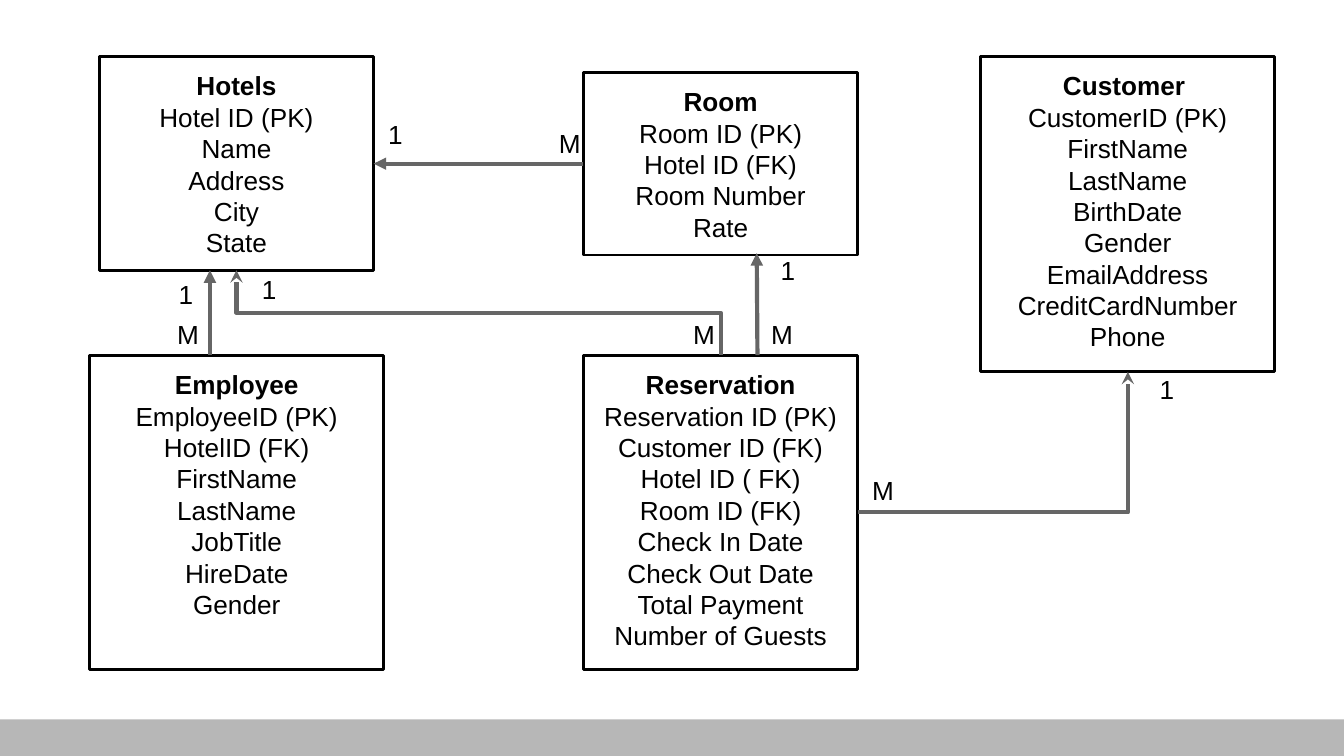
from lxml import etree
from pptx import Presentation
from pptx import util as u
from pptx.dml.color import RGBColor
from pptx.enum import shapes, text
from pptx.oxml import ns

COLORS = {"ink": "000000", "arrow": "666666", "bar": "B7B7B7"}
FONT = {"name": "Arial", "size": u.Pt(14)}
FRAME = {
    "word_wrap": True,
    "auto_size": text.MSO_AUTO_SIZE.NONE,
    "vertical_anchor": text.MSO_ANCHOR.TOP,
    "margin_left": u.Pt(7.2),
    "margin_right": u.Pt(7.2),
    "margin_top": u.Pt(7.2),
    "margin_bottom": u.Pt(7.2),
}


class Diagram:
    def __init__(self, slide):
        self.slide = slide

    @staticmethod
    def color(name):
        return RGBColor.from_string(COLORS[name])

    def fill_text(self, shape, lines, alignment, bold_first=False):
        frame = shape.text_frame
        for name, value in FRAME.items():
            setattr(frame, name, value)
        for index, line in enumerate(lines):
            paragraph = frame.paragraphs[0] if index == 0 else frame.add_paragraph()
            paragraph.alignment = alignment
            run = paragraph.add_run()
            run.text = line
            for name, value in FONT.items():
                setattr(run.font, name, value)
            run.font.bold = bold_first and index == 0
            run.font.color.rgb = self.color("ink")

    def rectangle(self, bounds):
        shape = self.slide.shapes.add_shape(
            shapes.MSO_SHAPE.RECTANGLE, *map(u.Pt, bounds))
        shape.shadow.inherit = False
        return shape

    def entity(self, bounds, lines):
        shape = self.rectangle(bounds)
        shape.fill.background()
        shape.line.color.rgb = self.color("ink")
        shape.line.width = u.Pt(1.5)
        self.fill_text(shape, lines, text.PP_ALIGN.CENTER, bold_first=True)

    def bar(self, bounds):
        shape = self.rectangle(bounds)
        shape.fill.solid()
        shape.fill.fore_color.rgb = self.color("bar")
        shape.line.fill.background()

    def label(self, left, top, caption):
        shape = self.slide.shapes.add_textbox(*map(u.Pt, (left, top, 24.5, 30)))
        self.fill_text(shape, [caption], text.PP_ALIGN.LEFT)

    def arrow(self, begin, end, kind=shapes.MSO_CONNECTOR.STRAIGHT, head="triangle"):
        connector = self.slide.shapes.add_connector(
            kind, *map(u.Pt, (*begin, *end)))
        connector.line.color.rgb = self.color("arrow")
        connector.line.width = u.Pt(2.25)
        properties = connector._element.spPr
        etree.SubElement(properties.find(ns.qn("a:ln")), ns.qn("a:tailEnd"), type=head)
        etree.SubElement(properties, ns.qn("a:effectLst"))
        return connector

    def elbow(self, begin, end, preset, turn):
        """Bent arrow, mirrored and then turned about its centre."""
        center_x, center_y = ((a + b) / 2 for a, b in zip(begin, end))
        half_width, half_height = (abs(a - b) / 2 for a, b in zip(begin, end))
        if turn == 90:
            half_width, half_height = half_height, half_width
        connector = self.arrow(
            (center_x + half_width, center_y - half_height),
            (center_x - half_width, center_y + half_height),
            shapes.MSO_CONNECTOR.ELBOW, "stealth")
        properties = connector._element.spPr
        properties.find(ns.qn("a:xfrm")).set("rot", str(turn * 60000))
        properties.find(ns.qn("a:prstGeom")).set("prst", preset)


ENTITIES = [
    ((53.2, 30.2, 147, 114.6),
     ["Hotels", "Hotel ID (PK)", "Name", "Address", "City", "State"]),
    ((48, 190.3, 157.7, 168.3),
     ["Employee", "EmployeeID (PK)", "HotelID (FK)", "FirstName", "LastName",
      "JobTitle", "HireDate", "Gender"]),
    ((312.6, 38.7, 147, 98),
     ["Room", "Room ID (PK)", "Hotel ID (FK)", "Room Number", "Rate"]),
    ((525.3, 30.2, 157.7, 168.8),
     ["Customer ", "CustomerID (PK)", "FirstName", "LastName", "BirthDate",
      "Gender", "EmailAddress", "CreditCardNumber", "Phone"]),
    ((312.6, 190.3, 147, 168.3),
     ["Reservation", "Reservation ID (PK)", "Customer ID (FK)", "Hotel ID ( FK)",
      "Room ID (FK)", "Check In Date", "Check Out Date", "Total Payment",
      "Number of Guests"]),
]
ARROWS = [
    ((312.6, 87.7), (200.2, 87.7)),
    ((405.8, 190.3), (405.4, 135.6)),
    ((112.5, 190.3), (112.5, 144.8)),
]
ELBOWS = [
    ((459.6, 274.5), (604.2, 199.2), "bentConnector2", 180),
    ((386.1, 190.3), (126.7, 144.8), "bentConnector3", 90),
]
LABELS = {
    "1": [(200.9, 56.2), (133.2, 139), (88.6, 141.8), (411.1, 128.9), (614.2, 193)],
    "M": [(87.8, 163.4), (292.3, 61.2), (364.3, 163.4), (406.1, 163.4), (460.1, 247)],
}


def main():
    presentation = Presentation()
    presentation.slide_width = u.Pt(720)
    presentation.slide_height = u.Pt(405)
    diagram = Diagram(presentation.slides.add_slide(presentation.slide_layouts[6]))

    # Tables of the hotel database
    for bounds, lines in ENTITIES:
        diagram.entity(bounds, lines)

    # Relationships
    for begin, end in ARROWS:
        diagram.arrow(begin, end)
    for elbow in ELBOWS:
        diagram.elbow(*elbow)

    # Footer bar
    diagram.bar((-2, 385.4, 725.8, 21.6))

    # Cardinalities
    for caption, places in LABELS.items():
        for left, top in places:
            diagram.label(left, top, caption)

    presentation.save("out.pptx")


if __name__ == "__main__":
    main()
